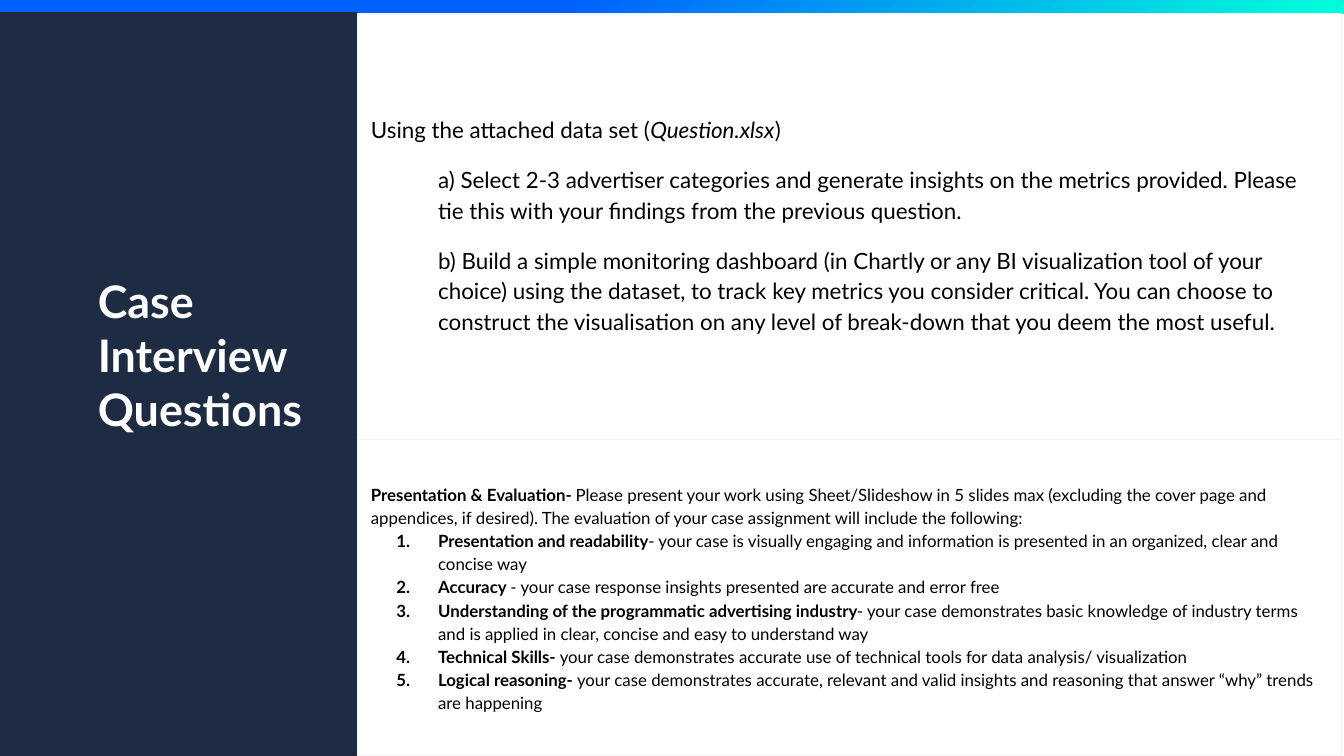
from lxml import etree
from pptx import Presentation, util as u
from pptx.dml.color import RGBColor
from pptx.enum import shapes, text
from pptx.oxml.ns import qn

TITLE = "Case Interview Questions"
INTRO = [("Using the attached data set (", ""), ("Question.xlsx", "i"), (")", "")]
TASKS = [
    "a) Select 2-3 advertiser categories and generate insights on the metrics "
    "provided. Please tie this with your findings from the previous question.",
    "b) Build a simple monitoring dashboard (in Chartly or any BI visualization "
    "tool of your choice) using the dataset, to track key metrics you consider "
    "critical. You can choose to construct the visualisation on any level of "
    "break-down that you deem the most useful.",
]
RULES = [
    ("Presentation & Evaluation- ", "b"),
    ("Please present your work using Sheet/Slideshow in 5 slides max (excluding "
     "the cover page and appendices, if desired). The evaluation of your case "
     "assignment will include the following:", ""),
]
GOALS = [
    ("Presentation and readability", "- your case is visually engaging and "
     "information is presented in an organized, clear and concise way"),
    ("Accuracy ", "- your case response insights presented are accurate and "
     "error free"),
    ("Understanding of the programmatic advertising industry", "- your case "
     "demonstrates basic knowledge of industry terms and is applied in clear, "
     "concise and easy to understand way"),
    ("Technical Skills- ", "your case demonstrates accurate use of technical "
     "tools for data analysis/ visualization"),
    ("Logical reasoning- ", "your case demonstrates accurate, relevant and valid "
     "insights and reasoning that answer “why” trends are happening"),
]
FONT, NAVY, BLUE, MINT, BLACK, WHITE, RULE = (
    "Lato", "1D2C42", "0061FF", "00FFDA", "000000", "FFFFFF", "F2F3F6")
WIDE, HIGH, SIDE, BAR = 25.4, 14.29, 6.76, 0.25
ROWS, COLS, PAD = (8.05, 5.99), 5, 0.25
INDENT, HANG = 1.27, -0.79


def paint(hue):
    return RGBColor.from_string(hue)


def block(slide, left, top, width, height):
    box = slide.shapes.add_shape(shapes.MSO_SHAPE.RECTANGLE, u.Cm(left),
                                 u.Cm(top), u.Cm(width), u.Cm(height))
    box.shadow.inherit = False
    box.line.fill.background()
    return box


def write(frame, runs, size, hue=BLACK, left=0, hang=0, line=None, gap=0,
          count=False):
    """Add a paragraph of (words, style) runs, using the first one if empty."""
    para = frame.paragraphs[0]
    if para.runs:
        para = frame.add_paragraph()
    para.space_before = u.Pt(gap)
    if line:
        para.line_spacing = line
    for words, style in runs:
        run = para.add_run()
        run.text = words
        font = run.font
        font.name, font.size = FONT, u.Pt(size)
        font.bold, font.italic = "b" in style, "i" in style
        font.color.rgb = paint(hue)
    props = para._p.get_or_add_pPr()
    props.set("marL", str(u.Cm(left)))
    props.set("indent", str(u.Cm(hang)))
    if count:
        tint = etree.SubElement(props, qn("a:buClr"))
        etree.SubElement(tint, qn("a:srgbClr"), val=hue)
        etree.SubElement(props, qn("a:buFont"), typeface=FONT)
        etree.SubElement(props, qn("a:buAutoNum"), type="arabicPeriod")


def edge(cell):
    """Draw thin borders on all four sides and leave the cell unfilled."""
    props = cell._tc.get_or_add_tcPr()
    for side in ("lnL", "lnR", "lnT", "lnB"):
        line = etree.SubElement(props, qn("a:" + side), w=str(u.Pt(0.75)))
        fill = etree.SubElement(line, qn("a:solidFill"))
        etree.SubElement(fill, qn("a:srgbClr"), val=RULE)
    cell.fill.background()


deck = Presentation()
deck.slide_width, deck.slide_height = u.Cm(WIDE), u.Cm(HIGH)
slide = deck.slides.add_slide(deck.slide_layouts[6])

strip = block(slide, 0, 0, WIDE, BAR)
strip.fill.gradient()
strip.fill.gradient_angle = 315
for stop, hue, spot in zip(strip.fill.gradient_stops, (BLUE, MINT), (0.42, 1)):
    stop.color.rgb, stop.position = paint(hue), spot

panel = block(slide, 0, 0.23, SIDE, HIGH - 0.23)
panel.fill.solid()
panel.fill.fore_color.rgb = paint(NAVY)

title = slide.shapes.add_textbox(u.Cm(1.6), u.Cm(1.98), u.Cm(5.18), u.Cm(10.34))
frame = title.text_frame
frame.word_wrap = True
frame.margin_left = frame.margin_right = u.Cm(PAD)
frame.margin_top = u.Cm(3.2)
write(frame, [(TITLE, "b")], 24, WHITE)

width = WIDE - SIDE - 0.05
table = slide.shapes.add_table(len(ROWS), COLS, u.Cm(SIDE), u.Cm(BAR),
                               u.Cm(width), u.Cm(sum(ROWS))).table
table.first_row = table.horz_banding = False
for col in table.columns:
    col.width = u.Cm(width / COLS)
for cell in table.iter_cells():
    edge(cell)
frames = []
for num, tall in enumerate(ROWS):
    table.rows[num].height = u.Cm(tall)
    cell = table.cell(num, 0)
    cell.merge(table.cell(num, COLS - 1))
    cell.vertical_anchor = text.MSO_ANCHOR.MIDDLE
    cell.margin_left = cell.margin_right = u.Cm(PAD)
    cell.margin_top = cell.margin_bottom = u.Cm(PAD)
    frames.append(cell.text_frame)

upper, lower = frames
write(upper, INTRO, 12)
for task in TASKS:
    write(upper, [(task, "")], 12, left=INDENT, line=1.15, gap=10)
write(lower, RULES, 9, line=1.15)
for name, note in GOALS:
    write(lower, [(name, "b"), (note, "")], 9, left=INDENT, hang=HANG,
          line=1.15, count=True)

deck.save("out.pptx")
